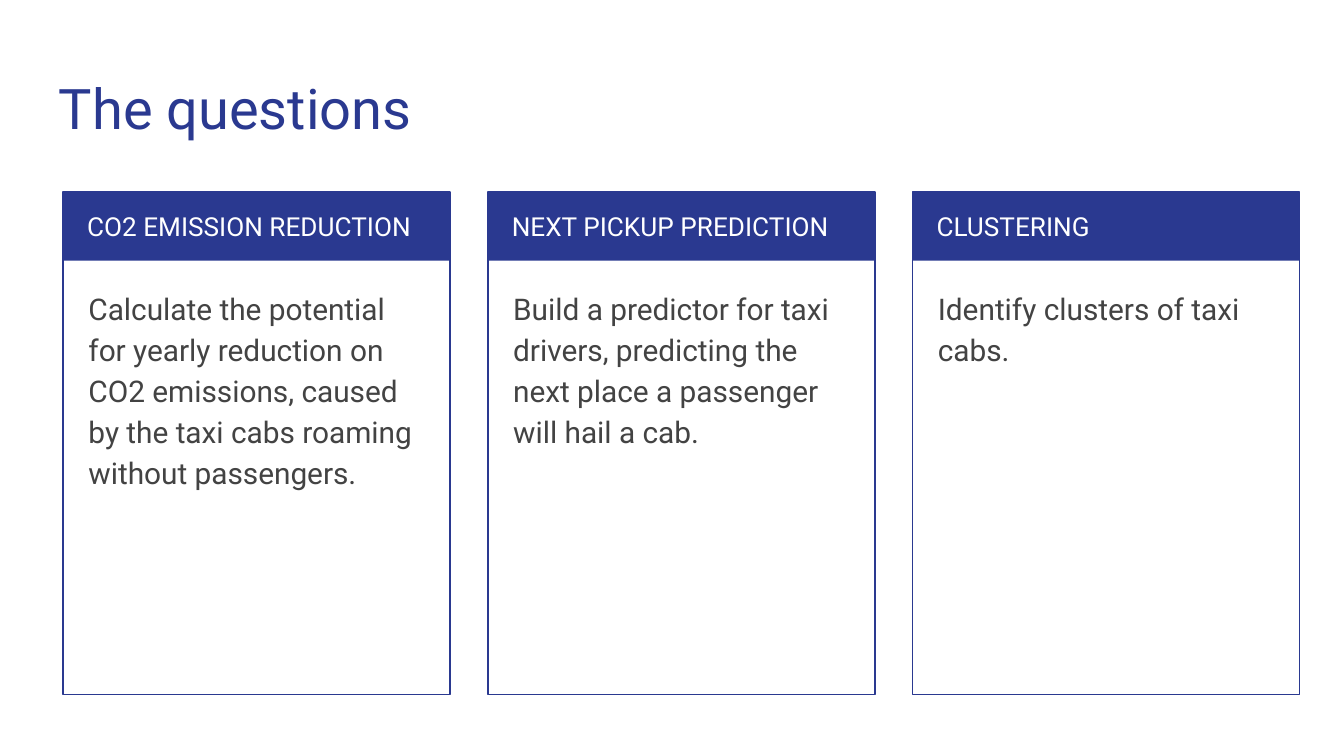
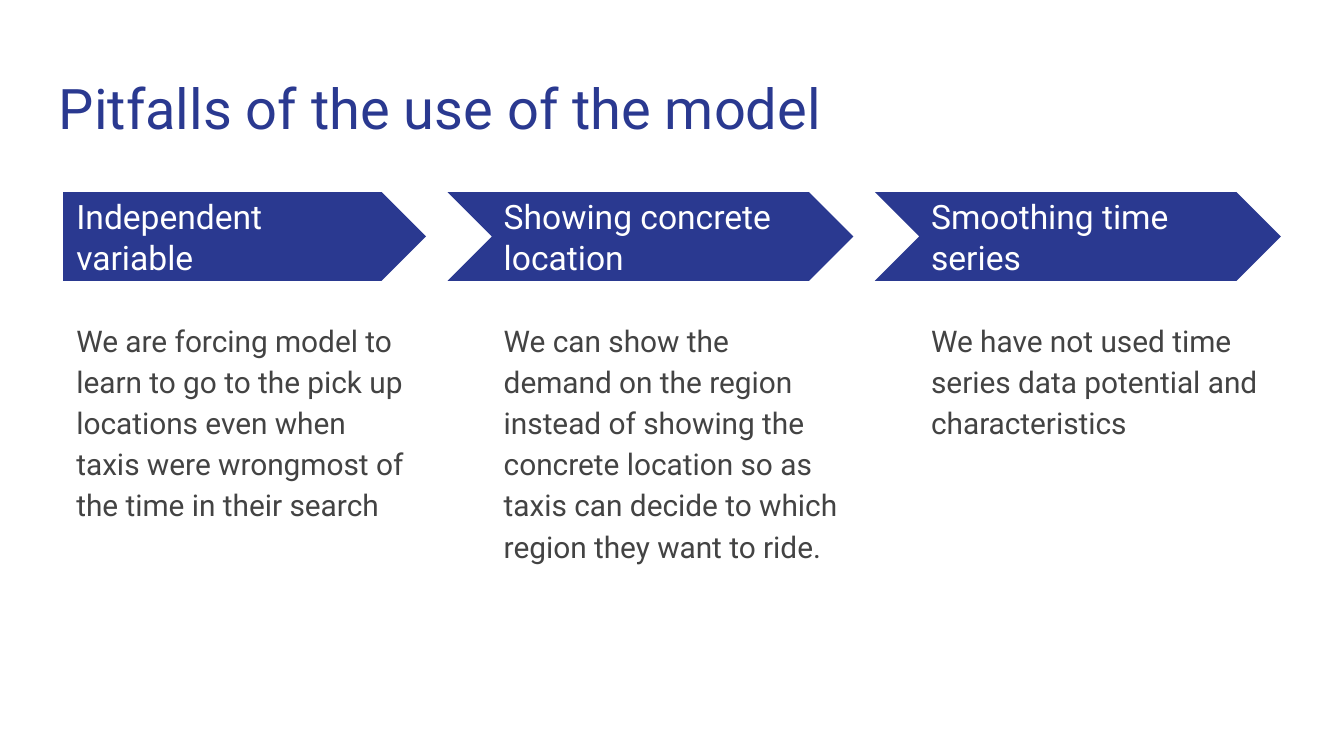
from pptx import Presentation
from pptx.dml.color import RGBColor
from pptx.enum import shapes, text
from pptx.util import Inches, Pt

NAVY = RGBColor(0x2A, 0x39, 0x90)
WHITE = RGBColor(0xFF, 0xFF, 0xFF)
GRAY = RGBColor(0x43, 0x43, 0x43)
FONT = "Roboto"

QUESTIONS_TITLE = "The questions"
QUESTIONS = [
    ("CO2 EMISSION REDUCTION",
     "Calculate the potential for yearly reduction on CO2 emissions, "
     "caused by the taxi cabs roaming without passengers."),
    ("NEXT PICKUP PREDICTION",
     "Build a predictor for taxi drivers, predicting the next place "
     "a passenger will hail a cab."),
    ("CLUSTERING", "Identify clusters of taxi cabs."),
]

PITFALLS_TITLE = "Pitfalls of the use of the model"
PITFALLS = [
    ("Independent variable",
     "We are forcing model to learn to go to the pick up locations even "
     "when taxis were wrongmost of the time in their search"),
    ("Showing concrete location",
     "We can show the demand on the region instead of showing the concrete "
     "location so as taxis can decide to which region they want to ride."),
    ("Smoothing time series",
     "We have not used time series data potential and characteristics"),
]

LEFT, TOP = 0.47, 1.43
CARD_PITCH, CARD_WIDTH, CARD_HEIGHT, HEADER_HEIGHT = 3.16, 2.88, 3.74, 0.51
STEP_PITCH, STEP_WIDTH, STEP_HEIGHT = 3.18, 2.7, 0.66
CHEVRON_WIDTH = 3.02


def add_text(slide, words, left, top, width, height, size, color,
             anchor=text.MSO_ANCHOR.TOP, line_spacing=1.0, space_after=0):
    box = slide.shapes.add_textbox(Inches(left), Inches(top), Inches(width), Inches(height))
    frame = box.text_frame
    frame.word_wrap = True
    frame.vertical_anchor = anchor
    frame.margin_left = frame.margin_right = Inches(0.1)
    frame.margin_top = frame.margin_bottom = Inches(0.1)
    paragraph = frame.paragraphs[0]
    paragraph.line_spacing = line_spacing
    paragraph.space_after = Pt(space_after)
    run = paragraph.add_run()
    run.text = words
    run.font.name = FONT
    run.font.size = Pt(size)
    run.font.color.rgb = color


def add_outline(parent, kind, left, top, width, height, filled=True):
    shape = parent.shapes.add_shape(kind, Inches(left), Inches(top), Inches(width), Inches(height))
    shape.shadow.inherit = False
    if filled:
        shape.fill.solid()
        shape.fill.fore_color.rgb = NAVY
        shape.line.fill.background()
    else:
        shape.fill.background()
        shape.line.color.rgb = NAVY
        shape.line.width = Pt(0.75)
    return shape


def add_titled_slide(deck, title):
    slide = deck.slides.add_slide(deck.slide_layouts[6])
    slide.background.fill.solid()
    slide.background.fill.fore_color.rgb = WHITE
    add_text(slide, title, 0.34, 0.45, 9.32, 0.66, 30, NAVY)
    return slide


def add_question(slide, index, heading, body):
    left = LEFT + index * CARD_PITCH
    card = slide.shapes.add_group_shape()
    add_outline(card, shapes.MSO_SHAPE.RECTANGLE, left, TOP, CARD_WIDTH, HEADER_HEIGHT)
    add_outline(card, shapes.MSO_SHAPE.RECTANGLE, left, TOP, CARD_WIDTH, CARD_HEIGHT, filled=False)
    add_text(slide, heading, left + 0.08, TOP, 2.73, 0.5, 14, WHITE, line_spacing=1.15)
    add_text(slide, body, left + 0.09, 2.02, 2.71, 3.06, 16, GRAY,
             line_spacing=1.15, space_after=16)


def add_pitfall(slide, index, heading, body):
    left = LEFT + index * STEP_PITCH
    if index == 0:
        arrow = add_outline(slide, shapes.MSO_SHAPE.PENTAGON, left, TOP, STEP_WIDTH, STEP_HEIGHT)
    else:
        arrow = add_outline(slide, shapes.MSO_SHAPE.CHEVRON, left + STEP_WIDTH - CHEVRON_WIDTH,
                            TOP, CHEVRON_WIDTH, STEP_HEIGHT)
    arrow.adjustments[0] = 0.5
    add_text(slide, heading, left, 1.59, 2.47, 0.34, 18, WHITE, anchor=text.MSO_ANCHOR.MIDDLE)
    add_text(slide, body, left, 2.26, STEP_WIDTH, 2.9, 16, GRAY,
             line_spacing=1.15, space_after=8)


deck = Presentation()
deck.slide_width = Inches(10)
deck.slide_height = Inches(10 * 9 / 16)

for title, items, add_item in (
    (QUESTIONS_TITLE, QUESTIONS, add_question),
    (PITFALLS_TITLE, PITFALLS, add_pitfall),
):
    slide = add_titled_slide(deck, title)
    for index, (heading, body) in enumerate(items):
        add_item(slide, index, heading, body)

deck.save("out.pptx")
